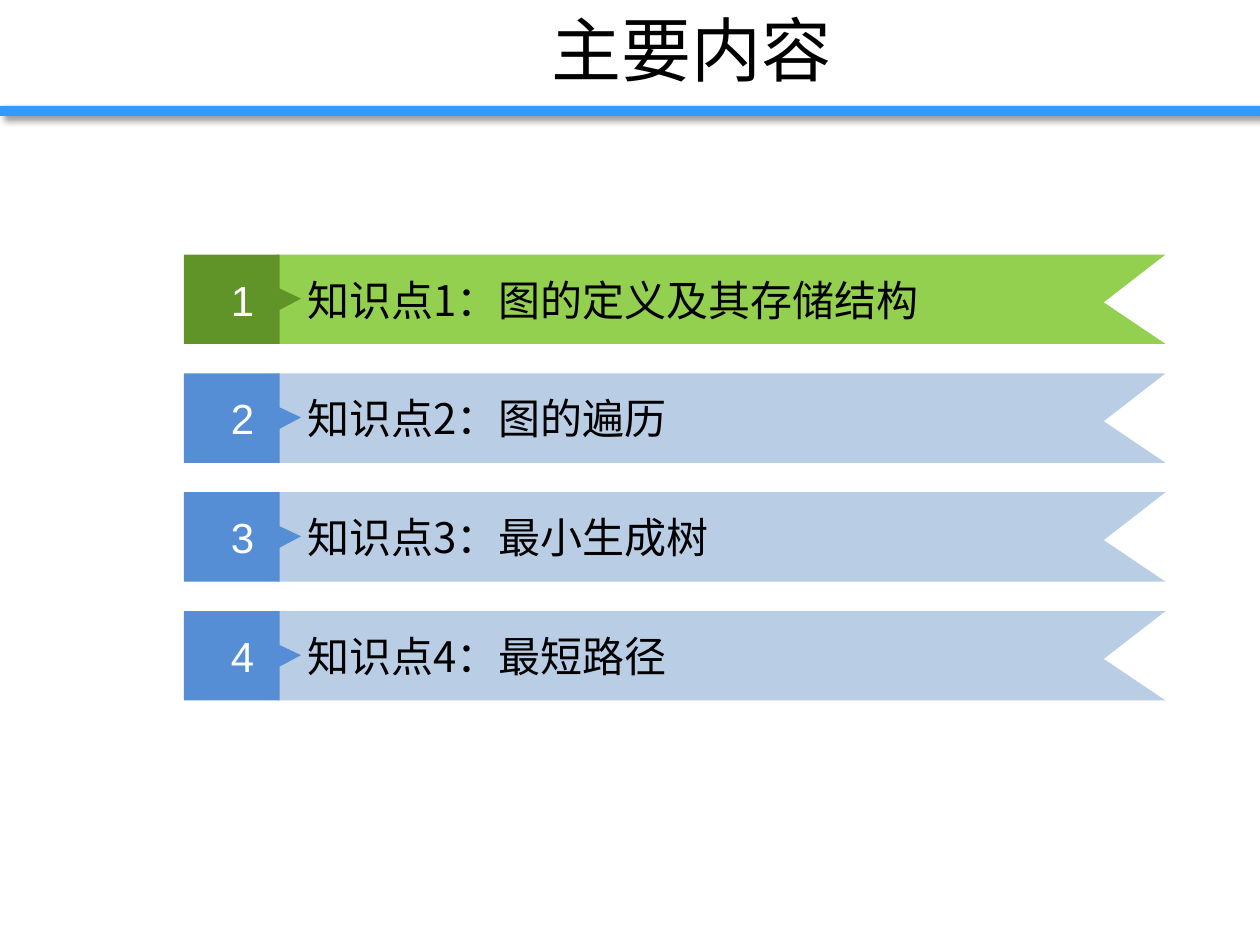
"""Build the contents slide: a title, a rule and four numbered ribbons."""
from lxml import etree
from pptx import Presentation
from pptx import util as u
from pptx.dml.color import RGBColor
from pptx.enum import shapes, text
from pptx.oxml.ns import qn

TITLE = "主要内容"
TOPICS = ["图的定义及其存储结构", "图的遍历", "最小生成树", "最短路径"]
CURRENT = 1
COLORS = {
    "rule": "3399FF", "black": "000000", "white": "FFFFFF",
    "ribbon": "B9CDE5", "tab": "558ED5",
    "current_ribbon": "93D050", "current_tab": "619428",
}
CJK, LATIN = "Noto Sans CJK SC", "Arial"
WIDTH, HEIGHT = 10, 7.5
FIRST_TOP, LAST_TOP, ROW = 2.02, 4.85, 0.71
PITCH = (LAST_TOP - FIRST_TOP) / (len(TOPICS) - 1)
TAB_LEFT, RIBBON_LEFT = 1.46, 2.2
TAB_OUTLINE = [(0, 0), (0.76, 0), (0.76, 0.27), (0.93, 0.35),
               (0.76, 0.44), (0.76, ROW), (0, ROW)]
RIBBON_OUTLINE = [(0, 0), (7.05, 0), (6.56, 0.38), (7.05, ROW), (0, ROW)]


def paint(shape, color):
    shape.fill.solid()
    shape.fill.fore_color.rgb = RGBColor.from_string(COLORS[color])
    shape.line.fill.background()
    shape.shadow.inherit = False


def write(shape, words, size, font, color, align):
    frame = shape.text_frame
    frame.text = words
    frame.word_wrap = True
    frame.auto_size = text.MSO_AUTO_SIZE.NONE
    frame.vertical_anchor = text.MSO_ANCHOR.MIDDLE
    paragraph = frame.paragraphs[0]
    paragraph.alignment = align
    run = paragraph.runs[0]
    run.font.size = u.Pt(size)
    run.font.name = font
    run.font.color.rgb = RGBColor.from_string(COLORS[color])
    east_asian = etree.SubElement(run.font._element, qn("a:ea"))
    east_asian.set("typeface", font)


def add_outline(group, left, top, outline, color):
    points = [(u.Inches(left + x), u.Inches(top + y)) for x, y in outline]
    builder = group.shapes.build_freeform(*points[0])
    builder.add_line_segments(points[1:], close=True)
    shape = builder.convert_to_shape()
    paint(shape, color)
    return shape


def add_rule(slide):
    rule = slide.shapes.add_shape(
        shapes.MSO_SHAPE.RECTANGLE, 0, u.Inches(0.84), u.Inches(WIDTH), u.Inches(0.08))
    paint(rule, "rule")
    effects = rule._element.spPr.find(qn("a:effectLst"))
    shadow = etree.SubElement(
        effects, qn("a:outerShdw"), blurRad=str(u.Pt(4)), dist=str(u.Pt(3)),
        dir=str(45 * 60000), algn="tl", rotWithShape="0")
    tint = etree.SubElement(shadow, qn("a:srgbClr"), val=COLORS["black"])
    etree.SubElement(tint, qn("a:alpha"), val="40000")


def add_topic(slide, number, topic):
    top = FIRST_TOP + (number - 1) * PITCH
    prefix = "current_" if number == CURRENT else ""
    group = slide.shapes.add_group_shape()
    ribbon = add_outline(group, RIBBON_LEFT, top, RIBBON_OUTLINE, prefix + "ribbon")
    write(ribbon, f"知识点{number}：{topic}", 24, CJK, "black", text.PP_ALIGN.LEFT)
    ribbon.text_frame.margin_left = u.Inches(0.24)
    tab = add_outline(group, TAB_LEFT, top, TAB_OUTLINE, prefix + "tab")
    write(tab, str(number), 24, LATIN, "white", text.PP_ALIGN.CENTER)


def main():
    deck = Presentation()
    deck.slide_width, deck.slide_height = u.Inches(WIDTH), u.Inches(HEIGHT)
    slide = deck.slides.add_slide(deck.slide_layouts[5])
    title = slide.shapes.title
    title.left, title.top = u.Inches(0.98), 0
    title.width, title.height = u.Inches(WIDTH - 0.98), u.Inches(0.77)
    write(title, TITLE, 40, CJK, "black", text.PP_ALIGN.CENTER)
    add_rule(slide)
    for number, topic in enumerate(TOPICS, 1):
        add_topic(slide, number, topic)
    deck.save("out.pptx")


if __name__ == "__main__":
    main()
